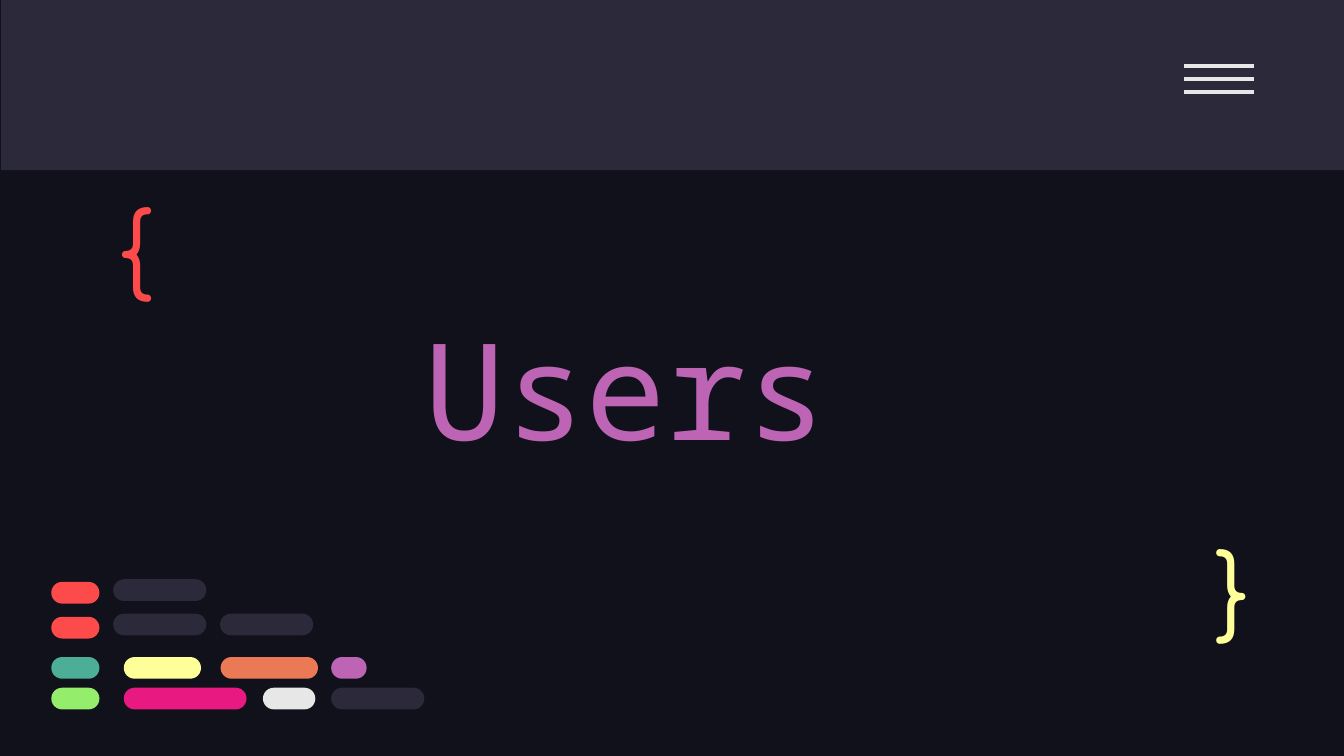
from pptx import Presentation
from pptx.dml.color import RGBColor
from pptx.enum.shapes import MSO_CONNECTOR, MSO_SHAPE
from pptx.enum.text import MSO_ANCHOR, MSO_AUTO_SIZE, PP_ALIGN
from pptx.oxml.ns import qn
from pptx.util import Cm, Pt

RECTANGLE = MSO_SHAPE.RECTANGLE
PILL = MSO_SHAPE.ROUNDED_RECTANGLE
STRAIGHT = MSO_CONNECTOR.STRAIGHT
TOP, MIDDLE, BOTTOM = MSO_ANCHOR.TOP, MSO_ANCHOR.MIDDLE, MSO_ANCHOR.BOTTOM
NO_AUTOFIT = MSO_AUTO_SIZE.NONE
LEFT_ALIGNED = PP_ALIGN.LEFT

NIGHT, SLATE, WHITE = "10111A", "2C293A", "E7E7E7"
RED, TEAL, YELLOW, ORANGE = "FD4A4A", "4CAE97", "FFFF99", "EC7955"
PURPLE, GREEN, PINK = "BD64B5", "94EE6B", "E81A81"

SLIDE_WIDTH, SLIDE_HEIGHT = 25.4, 14.29
INSET = 0.25

TITLE = ("Users", (7.77, 4.7, 19.74, 4.39), BOTTOM, "Noto Sans Mono", 72, PURPLE)
BRACES = [
    ("{", (1.98, 3.28, 1.96, 2.41), TOP, "Comfortaa", 50, RED),
    ("}", (22.73, 10.01, 1.45, 2.11), MIDDLE, "Comfortaa", 50, YELLOW),
]

MENU_LEFT, MENU_RIGHT, MENU_TOP, MENU_STEP, MENU_LINES = 22.38, 23.7, 1.24, 0.25, 3

PILL_HEIGHT = 0.41
CODE_ROWS = [
    (11.0, [(0.97, 0.91, RED)]),
    (11.66, [(0.97, 0.91, RED)]),
    (12.42, [(0.97, 0.91, TEAL), (2.34, 1.46, YELLOW), (4.17, 1.84, ORANGE), (6.26, 0.67, PURPLE)]),
    (13.0, [(0.97, 0.91, GREEN), (2.34, 2.32, PINK), (4.97, 0.99, WHITE), (6.26, 1.76, SLATE)]),
    (11.6, [(2.14, 1.76, SLATE), (4.16, 1.76, SLATE)]),
    (10.95, [(2.14, 1.76, SLATE)]),
]


def paint(color_format, color):
    color_format.rgb = RGBColor.from_string(color)


def add_block(slide, kind, left, top, width, height, color):
    shape = slide.shapes.add_shape(kind, Cm(left), Cm(top), Cm(width), Cm(height))
    shape.shadow.inherit = False
    shape.fill.solid()
    paint(shape.fill.fore_color, color)
    shape.line.fill.background()
    return shape


def add_menu_line(slide, top):
    line = slide.shapes.add_connector(STRAIGHT, Cm(MENU_LEFT), Cm(top), Cm(MENU_RIGHT), Cm(top))
    line.line.width = Pt(2.25)
    paint(line.line.color, WHITE)
    properties = line._element.spPr
    properties.append(properties.makeelement(qn("a:effectLst"), {}))


def write(shape, text, anchor, font_name, size, color):
    frame = shape.text_frame
    frame.word_wrap = True
    frame.auto_size = NO_AUTOFIT
    frame.vertical_anchor = anchor
    frame.margin_left = frame.margin_right = Cm(INSET)
    frame.margin_top = frame.margin_bottom = Cm(INSET)
    paragraph = frame.paragraphs[0]
    paragraph.text = text
    paragraph.alignment = LEFT_ALIGNED
    paragraph.font.name = font_name
    paragraph.font.size = Pt(size)
    paint(paragraph.font.color, color)


def main():
    presentation = Presentation()
    presentation.slide_width = Cm(SLIDE_WIDTH)
    presentation.slide_height = Cm(SLIDE_HEIGHT)
    slide = presentation.slides.add_slide(presentation.slide_layouts.get_by_name("Title Only"))
    slide.background.fill.solid()
    paint(slide.background.fill.fore_color, NIGHT)

    add_block(slide, RECTANGLE, 0.02, 0, SLIDE_WIDTH, 3.22, SLATE)
    for index in range(MENU_LINES):
        add_menu_line(slide, MENU_TOP + index * MENU_STEP)

    text, box, *style = TITLE
    title = slide.shapes.title
    title.left, title.top, title.width, title.height = map(Cm, box)
    write(title, text, *style)

    for top, pills in CODE_ROWS:
        for left, width, color in pills:
            pill = add_block(slide, PILL, left, top, width, PILL_HEIGHT, color)
            pill.adjustments[0] = 0.5

    for text, box, *style in BRACES:
        write(slide.shapes.add_textbox(*map(Cm, box)), text, *style)

    presentation.save("out.pptx")


if __name__ == "__main__":
    main()
